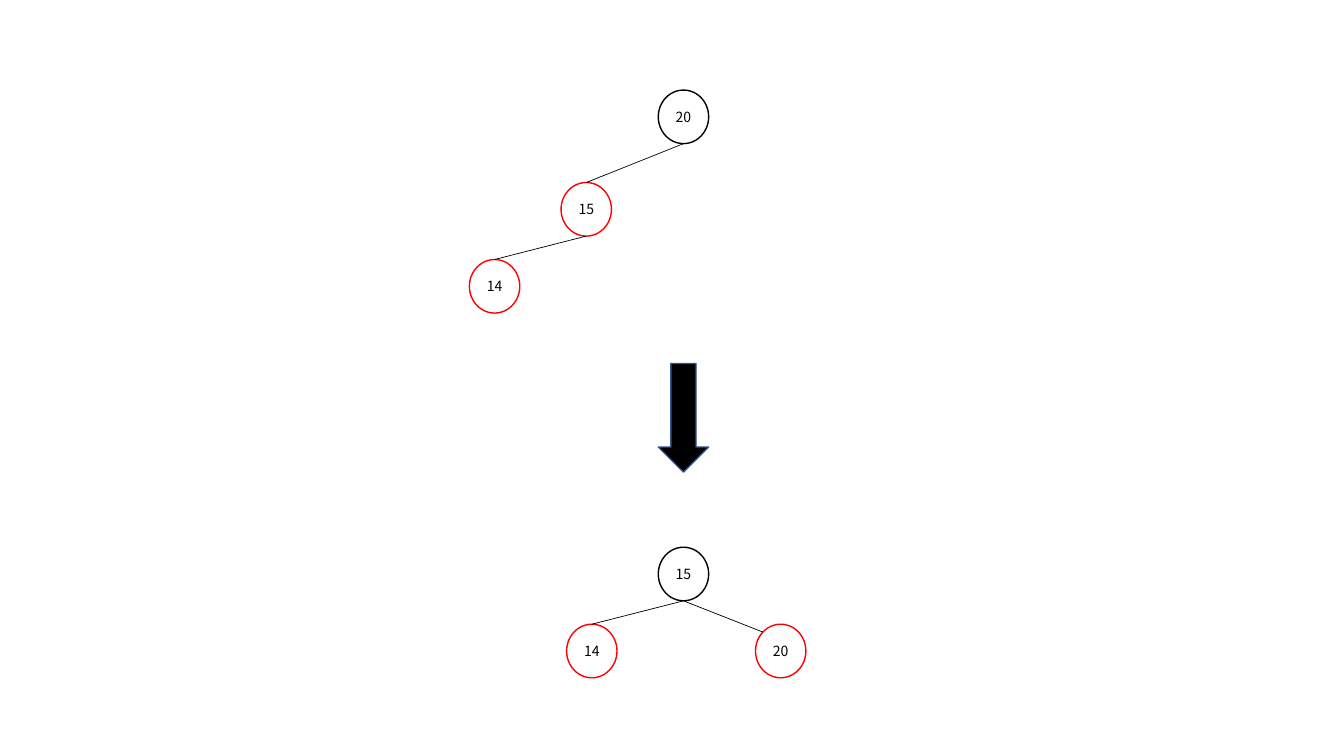
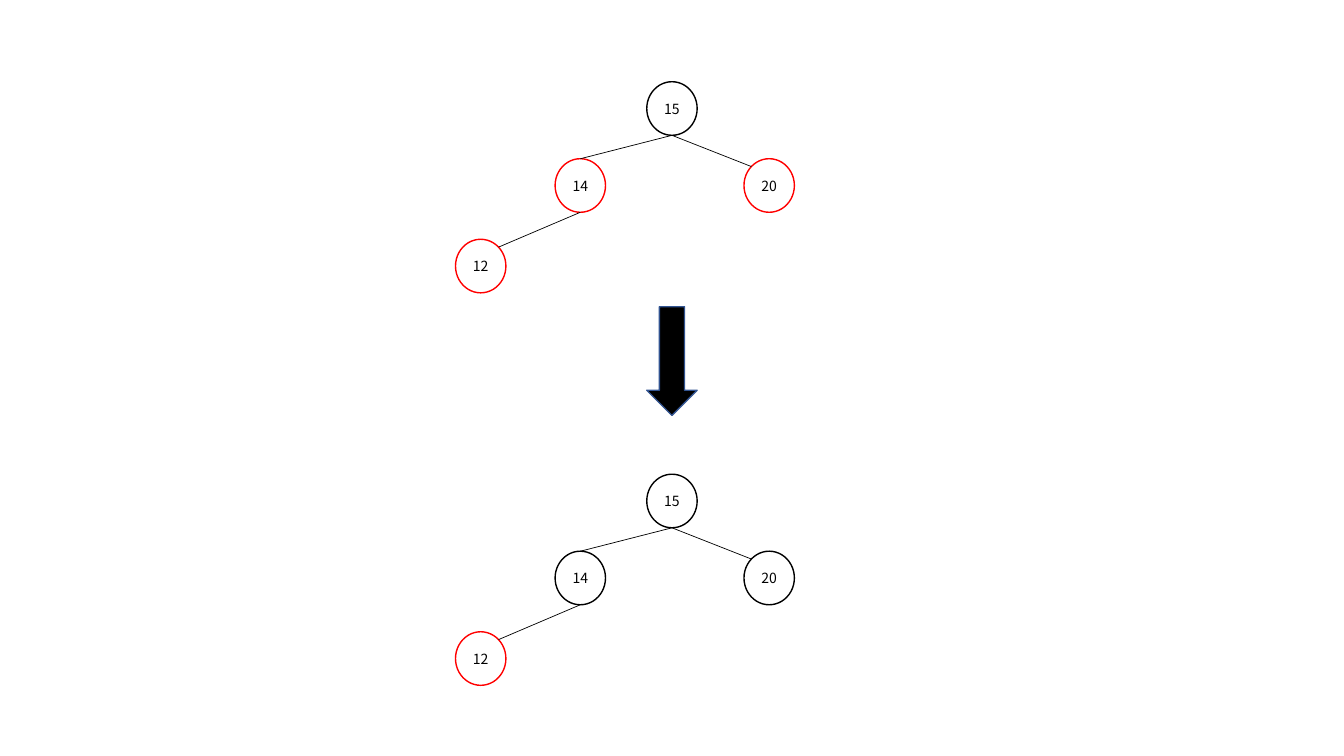
from dataclasses import dataclass
from math import sqrt

from lxml.etree import SubElement
from pptx import Presentation
from pptx.dml.color import RGBColor
from pptx.enum.shapes import MSO_CONNECTOR, MSO_SHAPE
from pptx.enum.text import MSO_ANCHOR, PP_ALIGN
from pptx.oxml.ns import qn
from pptx.util import Cm, Pt

BLACK = RGBColor(0x00, 0x00, 0x00)
RED = RGBColor(0xFF, 0x00, 0x00)
WHITE = RGBColor(0xFF, 0xFF, 0xFF)
ARROW_EDGE = RGBColor(0x32, 0x54, 0x91)
FONT = "Noto Sans CJK KR"

# Lengths in centimetres
NODE_W, NODE_H = 1.27, 1.35
ARROW_H = 2.74

# Steps from a parent node to its child
LEFT = (-2.31, 1.94)
RIGHT = (2.45, 1.94)
STEEP_LEFT = (-2.45, 2.33)
LOW_LEFT = (-2.51, 2.03)

# Where an edge meets the child, from its centre in half-axes
TOP = (0, -1)
TOP_LEFT = (-1 / sqrt(2), -1 / sqrt(2))
TOP_RIGHT = (1 / sqrt(2), -1 / sqrt(2))


@dataclass
class Node:
    key: str
    color: RGBColor
    step: tuple = (0, 0)
    joint: tuple = TOP
    children: tuple = ()


def write(shape, text, size=10, color=BLACK, font=FONT):
    frame = shape.text_frame
    frame.margin_left = frame.margin_right = 0
    frame.margin_top = frame.margin_bottom = 0
    frame.vertical_anchor = MSO_ANCHOR.MIDDLE
    paragraph = frame.paragraphs[0]
    paragraph.alignment = PP_ALIGN.CENTER
    run = paragraph.add_run()
    run.text = text
    run.font.size = Pt(size)
    run.font.name = font
    run.font.color.rgb = color


def add_outline(slide, kind, x, y, height, fill, edge):
    shape = slide.shapes.add_shape(kind, Cm(x), Cm(y), Cm(NODE_W), Cm(height))
    shape.shadow.inherit = False
    shape.fill.solid()
    shape.fill.fore_color.rgb = fill
    shape.line.color.rgb = edge
    shape.line.width = Pt(1)
    return shape


def add_edge(slide, x1, y1, x2, y2):
    edge = slide.shapes.add_connector(
        MSO_CONNECTOR.STRAIGHT, Cm(x1), Cm(y1), Cm(x2), Cm(y2))
    edge.line.color.rgb = BLACK
    edge.line.width = Pt(0.5)
    SubElement(edge.element.spPr, qn("a:effectLst"))


def add_tree(slide, node, x, y):
    """Draw a node with its top left corner at x, y, then its subtrees."""
    circle = add_outline(slide, MSO_SHAPE.OVAL, x, y, NODE_H, WHITE, node.color)
    write(circle, node.key)
    for child in node.children:
        child_x, child_y = x + child.step[0], y + child.step[1]
        add_tree(slide, child, child_x, child_y)
        add_edge(slide, x + NODE_W / 2, y + NODE_H,
                 child_x + NODE_W / 2 * (1 + child.joint[0]),
                 child_y + NODE_H / 2 * (1 + child.joint[1]))


def add_rebalancing(deck, x, before, before_y, arrow_y, after, after_y):
    """One slide: tree before, arrow, tree after, aligned on the roots."""
    slide = deck.slides.add_slide(deck.slide_layouts[6])
    add_tree(slide, before, x, before_y)
    add_outline(slide, MSO_SHAPE.DOWN_ARROW, x, arrow_y, ARROW_H,
                BLACK, ARROW_EDGE)
    add_tree(slide, after, x, after_y)


def balanced_tree(child_color, grandchildren=()):
    return Node("15", BLACK, children=(
        Node("14", child_color, LEFT, children=grandchildren),
        Node("20", child_color, RIGHT, TOP_LEFT)))


def main():
    deck = Presentation()
    deck.slide_width, deck.slide_height = Cm(33.87), Cm(19.05)

    # Rotation
    chain = Node("20", BLACK, children=(
        Node("15", RED, STEEP_LEFT, children=(Node("14", RED, LEFT),)),))
    add_rebalancing(deck, 16.59, chain, 2.27, 9.16, balanced_tree(RED), 13.79)

    # Recolouring
    inserted = (Node("12", RED, LOW_LEFT, TOP_RIGHT),)
    add_rebalancing(deck, 16.3, balanced_tree(RED, inserted), 2.06, 7.73,
                    balanced_tree(BLACK, inserted), 11.95)

    deck.save("out.pptx")


if __name__ == "__main__":
    main()
